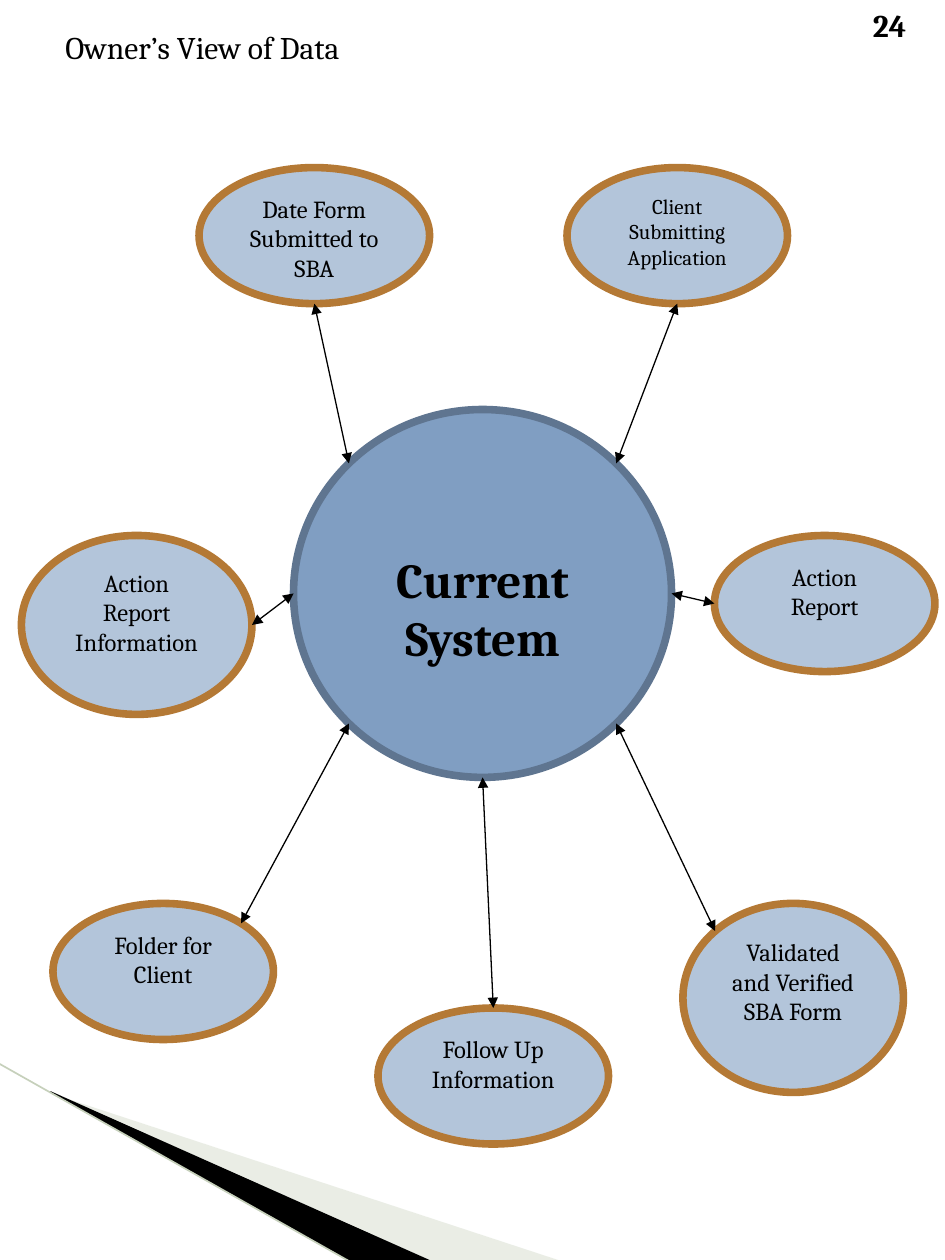
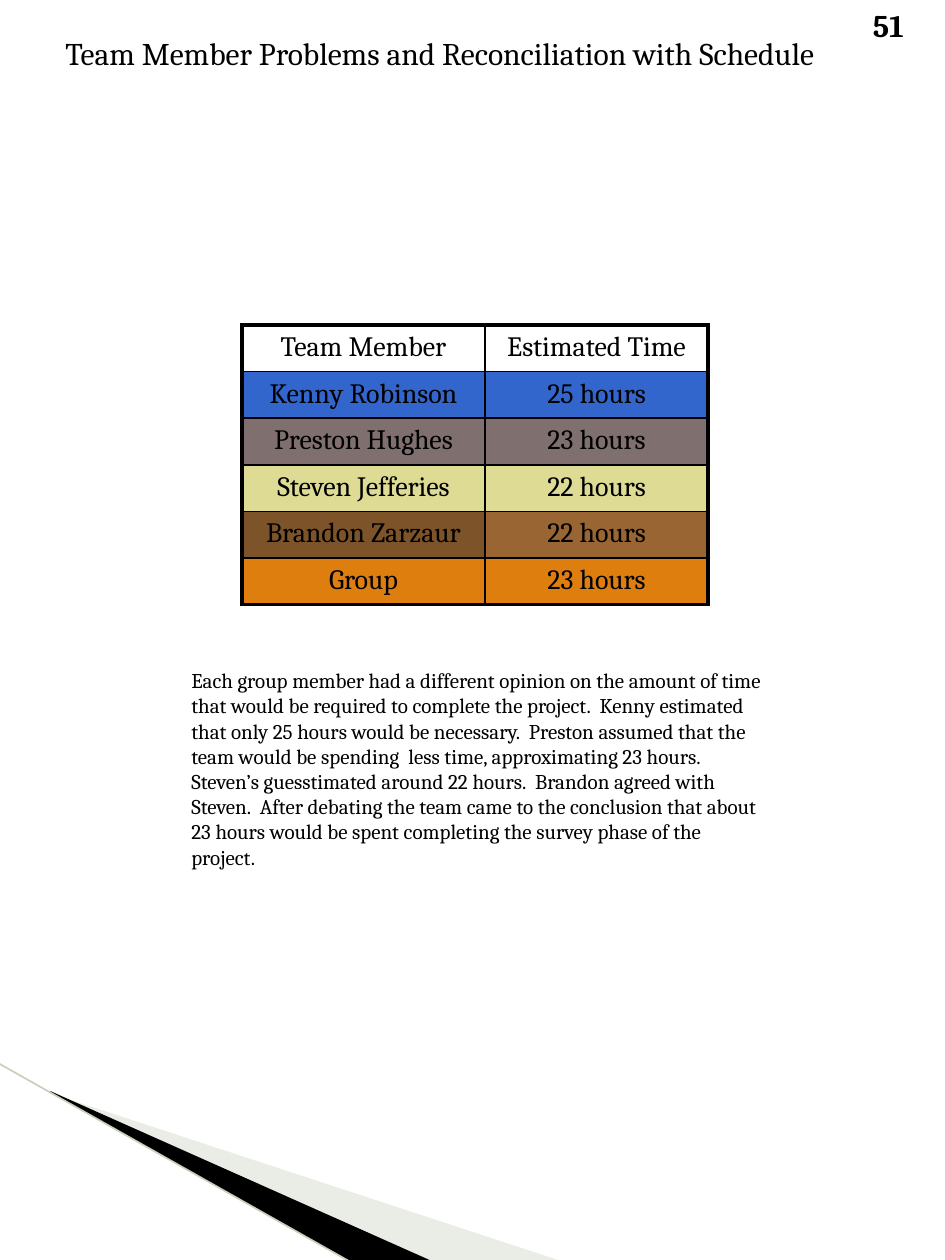
from dataclasses import dataclass
from math import sqrt

from lxml import etree
from pptx import Presentation
from pptx.dml.color import RGBColor
from pptx.enum.shapes import MSO_CONNECTOR, MSO_SHAPE
from pptx.enum.text import MSO_ANCHOR, PP_ALIGN
from pptx.oxml.ns import qn
from pptx.util import Inches, Pt

OVAL = MSO_SHAPE.OVAL
STRAIGHT = MSO_CONNECTOR.STRAIGHT
TOP = MSO_ANCHOR.TOP
LEFT, CENTER = PP_ALIGN.LEFT, PP_ALIGN.CENTER

FONT = "Cambria"
COLORS = {
    "black": "000000",
    "sage": "CBD4C0",
    "sage_line": "C6D0BB",
    "hub": "809EC2",
    "hub_line": "5F7590",
    "node": "B3C5DA",
    "node_line": "B47935",
    "blue": "3366CC",
    "gray": "7F6F6F",
    "yellow": "DEDC94",
    "dark_brown": "7D5329",
    "brown": "996633",
    "orange": "DD7E0E",
}
THIN, THICK = 1, 2.25

# Unit directions from the centre of an ellipse
DIAG = 1 / sqrt(2)
SITES = {
    "top": (0, -1), "bottom": (0, 1), "left": (-1, 0), "right": (1, 0),
    "top_left": (-DIAG, -DIAG), "top_right": (DIAG, -DIAG),
    "bottom_left": (-DIAG, DIAG), "bottom_right": (DIAG, DIAG),
}


@dataclass(frozen=True)
class Ellipse:
    text: str
    left: float
    top: float
    width: float
    height: float
    size: int = 14

    def site(self, name: str) -> tuple[float, float]:
        dx, dy = SITES[name]
        return (self.left + self.width / 2 * (1 + dx),
                self.top + self.height / 2 * (1 + dy))


@dataclass(frozen=True)
class Spoke:
    node: Ellipse
    node_site: str
    hub_site: str


@dataclass(frozen=True)
class Estimate:
    member: str
    time: str
    member_fill: str | None = None
    time_fill: str | None = None


HUB = Ellipse("Current System", 2.33, 3.25, 3, 2.92, 28)
SPOKES = [
    Spoke(Ellipse("Date Form Submitted to SBA", 1.58, 1.33, 1.83, 1.08), "bottom", "top_left"),
    Spoke(Ellipse("Client Submitting Application", 4.5, 1.33, 1.75, 1.08, 12),
          "bottom", "top_right"),
    Spoke(Ellipse("Action Report", 5.67, 4.25, 1.75, 1.08), "left", "right"),
    Spoke(Ellipse("Folder for Client", 0.42, 7.17, 1.75, 1.08), "top_right", "bottom_left"),
    Spoke(Ellipse("Follow Up Information", 3, 8, 1.83, 1.08), "top", "bottom"),
    Spoke(Ellipse("Validated and Verified SBA Form", 5.42, 7.17, 1.75, 1.5),
          "top_left", "bottom_right"),
    Spoke(Ellipse("Action Report\nInformation", 0.17, 4.25, 1.83, 1.42), "right", "left"),
]
ESTIMATES = [
    Estimate("Team Member", "Estimated Time"),
    Estimate("Kenny Robinson", "25 hours", "blue", "blue"),
    Estimate("Preston Hughes", "23 hours", "gray", "gray"),
    Estimate("Steven Jefferies", "22 hours", "yellow", "yellow"),
    Estimate("Brandon Zarzaur", "22 hours", "dark_brown", "brown"),
    Estimate("Group", "23 hours", "orange", "orange"),
]
SUMMARY = (
    "Each group member had a different opinion on the amount of time that would be "
    "required to complete the project.  Kenny estimated that only 25 hours would be "
    "necessary.  Preston assumed that the team would be spending  less time, "
    "approximating 23 hours.  Steven’s guesstimated around 22 hours.  Brandon agreed "
    "with Steven.  After debating the team came to the conclusion that about 23 hours "
    "would be spent completing the survey phase of the project."
)


def rgb(name: str) -> RGBColor:
    return RGBColor.from_string(COLORS[name])


def write(tf, text: str, size: int, bold: bool = False, align=LEFT) -> None:
    tf.word_wrap = True
    tf.vertical_anchor = TOP
    tf.text = text
    for p in tf.paragraphs:
        p.alignment = align
        p.font.name = FONT
        p.font.size = Pt(size)
        p.font.bold = bold
        p.font.color.rgb = rgb("black")


def add_text(s, text: str, left: float, top: float, width: float, height: float,
             size: int = 18, bold: bool = False) -> None:
    box = s.shapes.add_textbox(Inches(left), Inches(top), Inches(width), Inches(height))
    write(box.text_frame, text, size, bold)


def add_line(s, start: tuple[float, float], end: tuple[float, float], color: str,
             width: float, arrows: bool = False) -> None:
    line = s.shapes.add_connector(STRAIGHT, *map(Inches, start + end))
    line.line.color.rgb = rgb(color)
    line.line.width = Pt(width)
    if arrows:
        ln = line.line._get_or_add_ln()
        for tag in ("a:headEnd", "a:tailEnd"):
            etree.SubElement(ln, qn(tag), type="triangle")
    etree.SubElement(line._element.spPr, qn("a:effectLst"))


def add_wedge(s, points: list[tuple[float, float]], color: str,
              opacity: int = 100) -> None:
    (x, y), *rest = [(Inches(px), Inches(py)) for px, py in points]
    builder = s.shapes.build_freeform(x, y)
    builder.add_line_segments(rest, close=True)
    sp = builder.convert_to_shape()
    sp.shadow.inherit = False
    sp.fill.solid()
    sp.fill.fore_color.rgb = rgb(color)
    sp.line.fill.background()
    if opacity < 100:
        clr = sp._element.spPr.find(".//" + qn("a:srgbClr"))
        etree.SubElement(clr, qn("a:alpha"), val=str(opacity * 1000))


def add_base_slide(prs, title: str, title_top: float, title_height: float, number: str):
    """Add a slide with the corner wedges, title and page number."""
    s = prs.slides.add_slide(prs.slide_layouts[6])
    add_wedge(s, [(0.41, 8.68), (4.46, 10.01), (3.42, 10.01), (0.41, 8.67)], "sage", 40)
    add_wedge(s, [(0.4, 8.66), (3.43, 10.01), (2.79, 10.02), (0.4, 8.67)], "black")
    add_line(s, (-0.01, 8.44), (2.79, 10.02), "sage_line", 0.95)
    add_text(s, title, 0.42, title_top, 6.25, title_height)
    add_text(s, number, 6.83, 0, 0.58, 0.4, bold=True)
    return s


def add_ellipse(s, e: Ellipse, color: str, bold: bool = False):
    sp = s.shapes.add_shape(OVAL, Inches(e.left), Inches(e.top),
                            Inches(e.width), Inches(e.height))
    sp.shadow.inherit = False
    sp.fill.solid()
    sp.fill.fore_color.rgb = rgb(color)
    sp.line.color.rgb = rgb(color + "_line")
    sp.line.width = Pt(4.33)
    write(sp.text_frame, e.text, e.size, bold, CENTER)
    return sp


def set_borders(cell, widths: dict[str, float]) -> None:
    tc_pr = cell._tc.get_or_add_tcPr()
    for side, width in widths.items():
        ln = etree.SubElement(tc_pr, qn(f"a:ln{side}"), w=str(Pt(width)))
        fill = etree.SubElement(ln, qn("a:solidFill"))
        etree.SubElement(fill, qn("a:srgbClr"), val=COLORS["black"])


def add_estimates(s) -> None:
    widths, row_height = (1.93, 1.77), 0.37
    last_row, last_col = len(ESTIMATES) - 1, len(widths) - 1
    table = s.shapes.add_table(
        len(ESTIMATES), len(widths), Inches(1.92), Inches(2.58),
        Inches(sum(widths)), Inches(row_height * len(ESTIMATES))).table
    table.first_row = table.horz_banding = False
    for col, width in zip(table.columns, widths):
        col.width = Inches(width)
    for i, est in enumerate(ESTIMATES):
        table.rows[i].height = Inches(row_height)
        cells = ((est.member, est.member_fill), (est.time, est.time_fill))
        for j, (text, fill) in enumerate(cells):
            cell = table.cell(i, j)
            write(cell.text_frame, text, 16, align=CENTER)
            set_borders(cell, {
                "L": THICK if j == 0 else THIN,
                "R": THICK if j == last_col else THIN,
                "T": THICK if i == 0 else THIN,
                "B": THICK if i == last_row else THIN,
            })
            if fill:
                cell.fill.solid()
                cell.fill.fore_color.rgb = rgb(fill)
            else:
                cell.fill.background()


def build_data_view(prs) -> None:
    s = add_base_slide(prs, "Owner’s View of Data", 0.17, 0.4, "24")
    hub = add_ellipse(s, HUB, "hub", bold=True)
    hub.text_frame.margin_top = Inches(0.68)
    for spoke in SPOKES:
        add_ellipse(s, spoke.node, "node")
    for spoke in SPOKES:
        add_line(s, spoke.node.site(spoke.node_site), HUB.site(spoke.hub_site),
                 "black", 0.75, arrows=True)


def build_reconciliation(prs) -> None:
    s = add_base_slide(prs, "Team Member Problems and Reconciliation with Schedule",
                       0.22, 0.71, "51")
    add_estimates(s)
    add_text(s, SUMMARY, 1.42, 5.25, 4.75, 1.75, size=12)


def main() -> None:
    prs = Presentation()
    prs.slide_width, prs.slide_height = Inches(7.5), Inches(10)
    build_data_view(prs)
    build_reconciliation(prs)
    prs.save("out.pptx")


if __name__ == "__main__":
    main()
